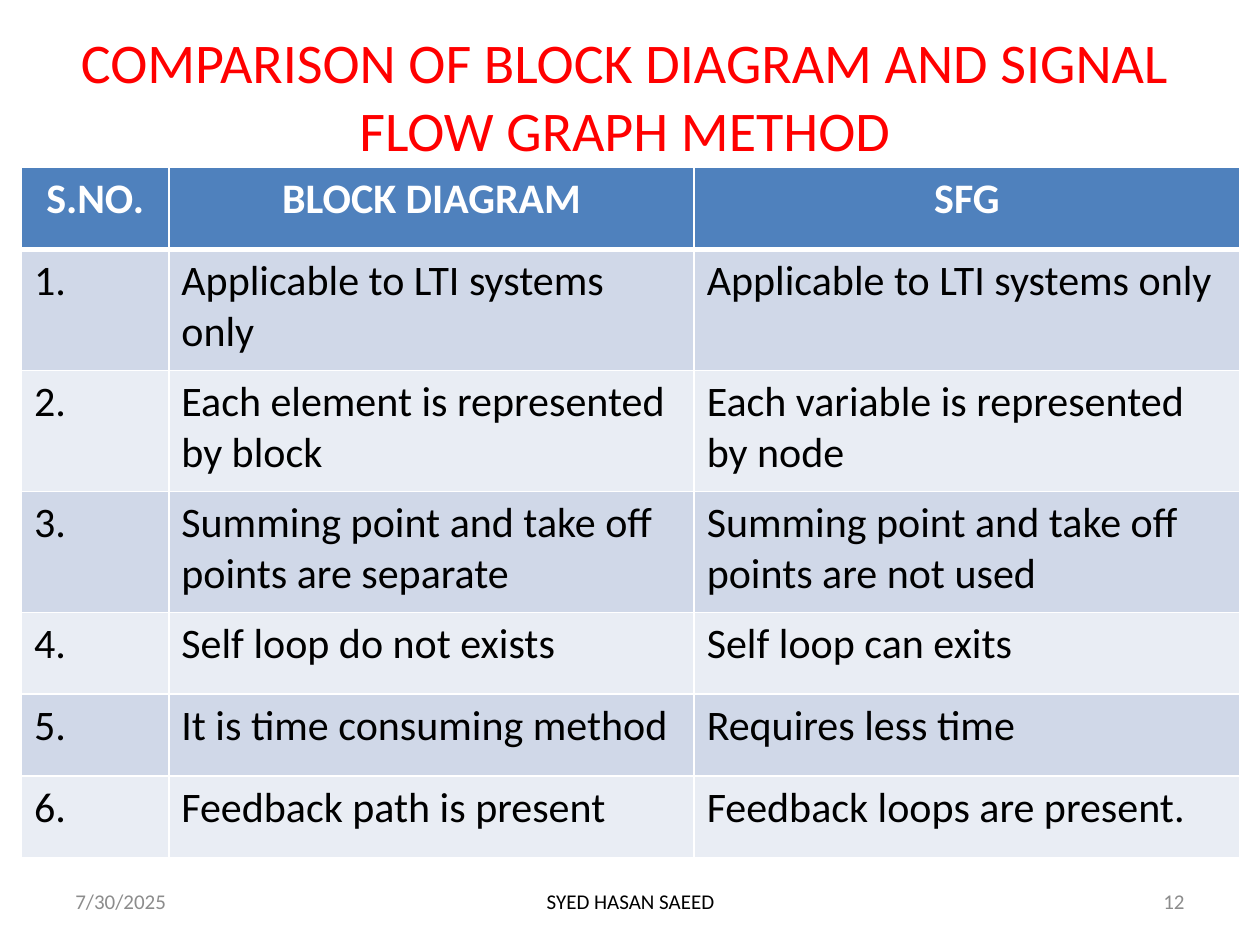
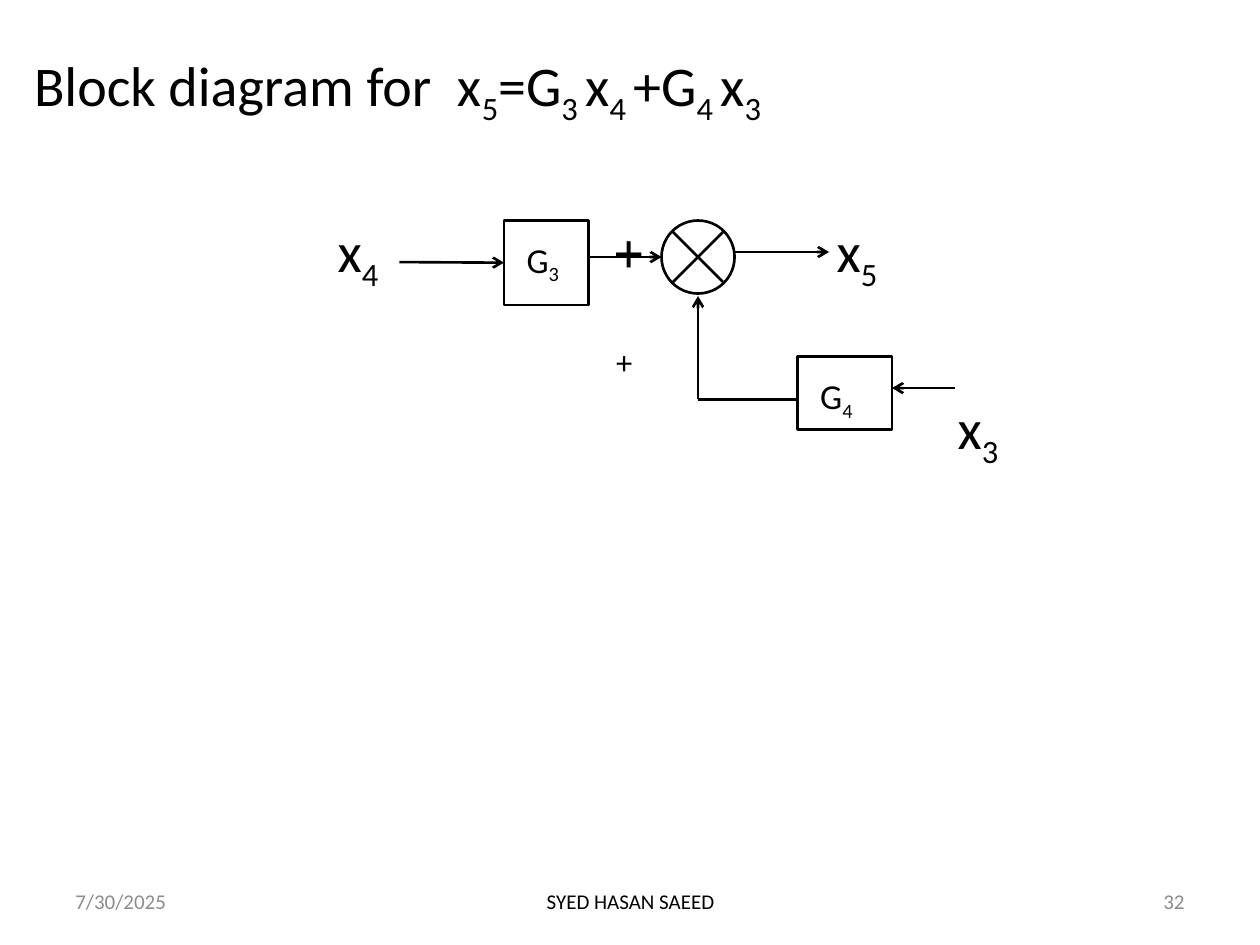
"""Build two slides on block diagrams and signal flow graphs."""
import math
from dataclasses import dataclass

from lxml import etree
from pptx import Presentation
from pptx import util as u
from pptx.dml.color import RGBColor
from pptx.enum import shapes, text
from pptx.oxml import ns

Inches = u.Inches


@dataclass(frozen=True)
class Theme:
    """Colours, font, type sizes and line widths of the deck."""
    font: str = "Calibri"
    black: str = "000000"
    white: str = "FFFFFF"
    red: str = "FF0000"
    grey: str = "8C8C8C"
    header: str = "4F81BD"
    bands: tuple = ("D0D8E8", "E9EDF4")
    heading: int = 32
    table: int = 24
    block: int = 20
    footer: int = 12
    stroke: float = 1.5
    border: int = 1
    header_border: int = 3


THEME = Theme()
LEFT, CENTER, RIGHT = text.PP_ALIGN.LEFT, text.PP_ALIGN.CENTER, text.PP_ALIGN.RIGHT
TOP, MIDDLE = text.MSO_ANCHOR.TOP, text.MSO_ANCHOR.MIDDLE

COMPARISON = [
    ("S.NO.", "BLOCK DIAGRAM", "SFG"),
    ("1.", "Applicable to LTI systems only", "Applicable to LTI systems only"),
    ("2.", "Each element is represented by block",
     "Each variable is represented by node"),
    ("3.", "Summing point and take off points are separate",
     "Summing point and take off points are not used"),
    ("4.", "Self loop do not exists", "Self loop can exits"),
    ("5.", "It is time consuming method", "Requires less time"),
    ("6.", "Feedback path is present", "Feedback loops are present."),
]
COLUMN_WIDTHS = (1.17, 4.17, 4.33)
ROW_HEIGHTS = (0.65, 0.96, 0.96, 0.96, 0.65, 0.65, 0.65)


def format_paragraph(paragraph, size, color, align=LEFT, bold=False):
    """Align a paragraph and style its runs."""
    paragraph.alignment = align
    for run in paragraph.runs:
        run.font.name = THEME.font
        run.font.size = u.Pt(size)
        run.font.bold = bold
        run.font.color.rgb = RGBColor.from_string(color)


def set_formula(paragraph, formula):
    """Write a formula whose bars switch between normal and subscript."""
    for index, piece in enumerate(formula.split("|")):
        if piece:
            run = paragraph.add_run()
            run.text = piece
            if index % 2:
                run._r.get_or_add_rPr().set("baseline", "-25000")


def set_frame(frame, anchor, left=0.1, top=0.05):
    """Set wrapping, anchoring and symmetric insets of a text frame."""
    frame.word_wrap = True
    frame.auto_size = text.MSO_AUTO_SIZE.NONE
    frame.vertical_anchor = anchor
    frame.margin_left = frame.margin_right = Inches(left)
    frame.margin_top = frame.margin_bottom = Inches(top)


def add_titled_slide(presentation, formula, box, color, align, anchor):
    """Add a title-only slide and format its title."""
    slide = presentation.slides.add_slide(presentation.slide_layouts[5])
    title = slide.shapes.title
    title.left, title.top, title.width, title.height = map(Inches, box)
    set_frame(title.text_frame, anchor)
    paragraph = title.text_frame.paragraphs[0]
    set_formula(paragraph, formula)
    format_paragraph(paragraph, THEME.heading, color, align)
    return slide


def add_footer(slide, number):
    """Add the date, author and slide number."""
    for content, left, width, color, align in (
            ("7/30/2025", 0.5, 2.33, THEME.grey, LEFT),
            ("SYED HASAN SAEED", 3.42, 3.17, THEME.black, CENTER),
            (str(number), 7.17, 2.33, THEME.grey, RIGHT)):
        box = slide.shapes.add_textbox(
            Inches(left), Inches(6.95), Inches(width), Inches(0.4))
        set_frame(box.text_frame, MIDDLE)
        box.text_frame.text = content
        format_paragraph(box.text_frame.paragraphs[0], THEME.footer, color, align)


def set_borders(cell, top, bottom):
    """Give a cell white borders with the given top and bottom widths."""
    properties = cell._tc.get_or_add_tcPr()
    widths = {"lnL": THEME.border, "lnR": THEME.border, "lnT": top, "lnB": bottom}
    for index, (tag, width) in enumerate(widths.items()):
        line = etree.Element(ns.qn(f"a:{tag}"), w=str(u.Pt(width)))
        fill = etree.SubElement(line, ns.qn("a:solidFill"))
        etree.SubElement(fill, ns.qn("a:srgbClr"), val=THEME.white)
        properties.insert(index, line)


def add_comparison_table(slide):
    """Add the banded comparison table."""
    table = slide.shapes.add_table(
        len(ROW_HEIGHTS), len(COLUMN_WIDTHS), Inches(0.17), Inches(1.33),
        Inches(sum(COLUMN_WIDTHS)), Inches(sum(ROW_HEIGHTS))).table
    for column, width in zip(table.columns, COLUMN_WIDTHS):
        column.width = Inches(width)
    for row_index, (row, height) in enumerate(zip(table.rows, ROW_HEIGHTS)):
        row.height = Inches(height)
        is_header = row_index == 0
        fill = THEME.header if is_header else THEME.bands[(row_index - 1) % 2]
        color, align = (THEME.white, CENTER) if is_header else (THEME.black, LEFT)
        top = THEME.header_border if row_index == 1 else THEME.border
        bottom = THEME.header_border if is_header else THEME.border
        for cell, content in zip(row.cells, COMPARISON[row_index]):
            cell.text_frame.text = content
            format_paragraph(cell.text_frame.paragraphs[0], THEME.table,
                             color, align, is_header)
            cell.fill.solid()
            cell.fill.fore_color.rgb = RGBColor.from_string(fill)
            set_borders(cell, top, bottom)


def set_stroke(line):
    """Apply the diagram's black line."""
    line.color.rgb = RGBColor.from_string(THEME.black)
    line.width = u.Pt(THEME.stroke)


def add_outline(slide, kind, left, top, width, height):
    """Add an unfilled preset shape."""
    shape = slide.shapes.add_shape(
        kind, Inches(left), Inches(top), Inches(width), Inches(height))
    shape.shadow.inherit = False
    shape.fill.background()
    set_stroke(shape.line)
    return shape


def add_block(slide, formula, *box):
    """Add a gain block with its label."""
    block = add_outline(slide, shapes.MSO_SHAPE.RECTANGLE, *box)
    set_frame(block.text_frame, TOP, 0.18, 0.14)
    block.text_frame.word_wrap = False
    paragraph = block.text_frame.paragraphs[0]
    set_formula(paragraph, formula)
    format_paragraph(paragraph, THEME.block, THEME.black)
    return block


def add_line(slide, start, end, arrow=True):
    """Add a straight line, with an arrowhead at its end if wanted."""
    connector = slide.shapes.add_connector(
        shapes.MSO_CONNECTOR.STRAIGHT, *map(Inches, start + end))
    set_stroke(connector.line)
    if arrow:
        etree.SubElement(connector.line._get_or_add_ln(),
                         ns.qn("a:tailEnd"), type="arrow")
    etree.SubElement(connector._element.spPr, ns.qn("a:effectLst"))
    return connector


def add_summing_point(slide, left, top, size):
    """Add a circle crossed by two diagonals."""
    add_outline(slide, shapes.MSO_SHAPE.OVAL, left, top, size, size)
    x, y = left + size / 2, top + size / 2
    reach = size / 2 * math.sqrt(0.5)
    for rise in (reach, -reach):
        add_line(slide, (x - reach, y - rise), (x + reach, y + rise), arrow=False)


def add_signal(slide, formula, left, top):
    """Add a large signal label."""
    box = slide.shapes.add_textbox(
        Inches(left), Inches(top), Inches(0.5), Inches(0.6))
    set_frame(box.text_frame, TOP, 0, 0)
    paragraph = box.text_frame.paragraphs[0]
    set_formula(paragraph, formula)
    format_paragraph(paragraph, THEME.heading, THEME.black)


def add_block_diagram(slide):
    """Draw the blocks, summing point, arrows and signal labels."""
    first_row, row_step = 1.72, 0.7
    for formula, left, row in (("x|4", 2.68, 0), ("+", 4.88, 0), ("x|5", 6.64, 0),
                               ("|+", 4.89, 1), ("x|3", 7.6, 2)):
        add_signal(slide, formula, left, first_row + row * row_step)
    gain_3 = add_block(slide, "G|3", 4, 1.75, 0.67, 0.67)
    add_block(slide, "G|4", 6.33, 2.83, 0.75, 0.58)
    add_summing_point(slide, 5.25, 1.75, 0.58)
    add_line(slide, (3.17, 2.08), (4, 2.08)).end_connect(gain_3, 1)
    add_line(slide, (4.67, 2.04), (5.25, 2.04))
    add_line(slide, (5.83, 2), (6.58, 2))
    add_line(slide, (7.58, 3.08), (7.08, 3.08))
    add_line(slide, (6.33, 3.17), (5.54, 3.17), arrow=False)
    add_line(slide, (5.54, 3.17), (5.54, 2.35))


def main():
    """Build and save the presentation."""
    presentation = Presentation()
    presentation.slide_width, presentation.slide_height = Inches(10), Inches(7.5)

    comparison = add_titled_slide(
        presentation, "COMPARISON OF BLOCK DIAGRAM AND SIGNAL FLOW GRAPH METHOD",
        (0.17, 0.17, 9.58, 1.17), THEME.red, CENTER, MIDDLE)
    add_comparison_table(comparison)
    add_footer(comparison, 12)

    diagram = add_titled_slide(
        presentation, "Block diagram for  x|5|=G|3 |x|4 |+G|4 |x|3",
        (0.17, 0.35, 9.67, 0.8), THEME.black, LEFT, TOP)
    add_block_diagram(diagram)
    add_footer(diagram, 32)

    presentation.save("out.pptx")


if __name__ == "__main__":
    main()
